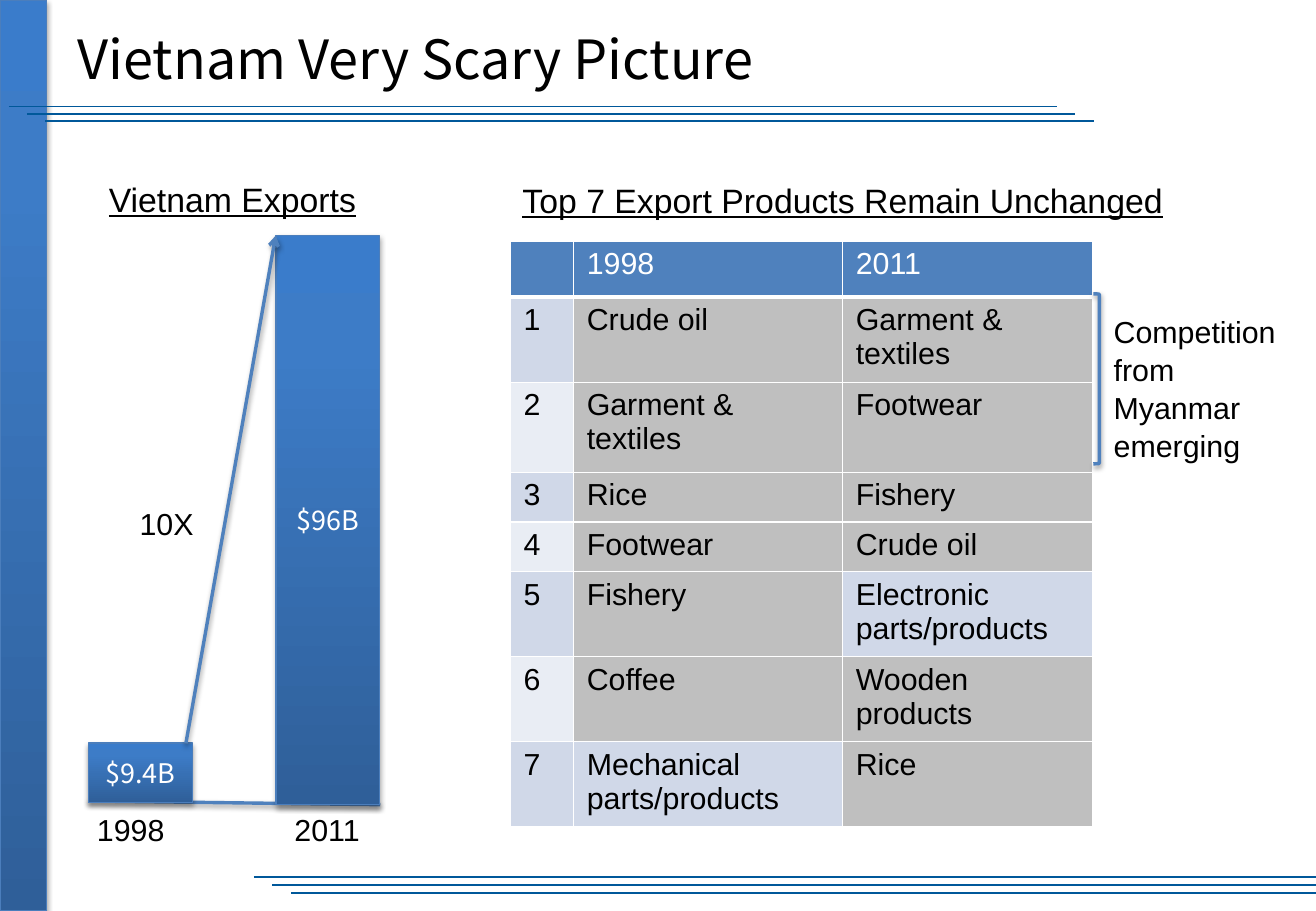
from copy import deepcopy

from pptx import Presentation
from pptx.dml.color import RGBColor
from pptx.enum.shapes import MSO_CONNECTOR, MSO_SHAPE
from pptx.enum.text import MSO_ANCHOR, PP_ALIGN
from pptx.oxml import parse_xml
from pptx.oxml.ns import nsdecls, qn
from pptx.util import Pt

BLACK, WHITE = "000000", "FFFFFF"
BLUE, RULE_BLUE, BAR_EDGE = "4F81BD", "00589A", "4B7EBC"
GREY, PALE, PALER = "BFBFBF", "D0D8E8", "E9EDF4"
BAR_STOPS = [(0, "2F5F99"), (0.8, "3D7CC7"), (1, "3A7CCB")]
HEADING_FONT, BODY_FONT = "Noto Sans CJK JP", "Arial"

PRODUCTS = [
    ("", "1998", "2011"),
    ("1", "Crude oil", "Garment & textiles"),
    ("2", "Garment & textiles", "Footwear"),
    ("3", "Rice", "Fishery"),
    ("4", "Footwear", "Crude oil"),
    ("5", "Fishery", "Electronic\nparts/products"),
    ("6", "Coffee", "Wooden products"),
    ("7", "Mechanical parts/products", "Rice"),
]
ROW_HEIGHTS = [33.2, 47.4, 53.4, 29.4, 29.4, 47.4, 47.4, 47.4]
COLUMN_WIDTHS = [37.4, 159.5, 148]


def rgb(color):
    """Return the colour for a hex string."""
    return RGBColor.from_string(color)


def points(*lengths):
    """Convert numbers to point lengths."""
    return [Pt(length) for length in lengths]


def format_text(frame, size, color=BLACK, font=BODY_FONT, underline=None):
    """Give every run in the frame the same look."""
    for paragraph in frame.paragraphs:
        for run in paragraph.runs:
            run.font.size = Pt(size)
            run.font.name = font
            run.font.color.rgb = rgb(color)
            run.font.underline = underline


def set_line(line, color, width):
    """Set the colour and width of a line."""
    line.color.rgb = rgb(color)
    line.width = Pt(width)


def set_effects(element, opacity=0, distance=0):
    """Replace the effects with a downward shadow, or with none."""
    properties = element.spPr
    for effects in properties.findall(qn("a:effectLst")):
        properties.remove(effects)
    shadow = ""
    if opacity:
        shadow = (
            f'<a:outerShdw blurRad="{Pt(3.1)}" dist="{Pt(distance)}" dir="5400000" '
            f'rotWithShape="0"><a:srgbClr val="000000">'
            f'<a:alpha val="{opacity * 1000}"/></a:srgbClr></a:outerShdw>'
        )
    properties.append(parse_xml(f'<a:effectLst {nsdecls("a")}>{shadow}</a:effectLst>'))


def add_bar(slide, left, top, width, height, label=""):
    """Add a shaded blue bar with a centred label."""
    bar = slide.shapes.add_shape(MSO_SHAPE.RECTANGLE, *points(left, top, width, height))
    bar.fill.gradient()
    bar.fill.gradient_angle = 90
    stop_list = bar.element.spPr.find(".//" + qn("a:gsLst"))
    stop_list.append(deepcopy(stop_list[-1]))
    for stop, (position, color) in zip(bar.fill.gradient_stops, BAR_STOPS):
        stop.position = position
        stop.color.rgb = rgb(color)
    set_line(bar.line, BAR_EDGE, 0.75)
    set_effects(bar.element, 35, 1.8)
    if label:
        frame = bar.text_frame
        frame.text = label
        frame.vertical_anchor = MSO_ANCHOR.MIDDLE
        frame.paragraphs[0].alignment = PP_ALIGN.CENTER
        format_text(frame, 16, WHITE, HEADING_FONT)


def add_line(slide, start, end, color, width, shadow=False, arrow=False):
    """Add a straight line, with a shadow or an arrowhead if wanted."""
    line = slide.shapes.add_connector(MSO_CONNECTOR.STRAIGHT, *points(*start, *end))
    set_line(line.line, color, width)
    if arrow:
        outline = line.element.spPr.find(qn("a:ln"))
        outline.append(parse_xml(f'<a:tailEnd {nsdecls("a")} type="arrow"/>'))
    set_effects(line.element, 38 if shadow else 0, 1.6)


def add_rules(slide, left, top, length, step_x, step_y):
    """Add three parallel rules, each stepped to the right."""
    for index in range(3):
        x, y = left + index * step_x, top + index * step_y
        add_line(slide, (x, y), (x + length, y), RULE_BLUE, 1)


def add_text(slide, box, text, size=18, font=BODY_FONT, underline=None,
             wrap=False, anchor=MSO_ANCHOR.TOP, spacing=None):
    """Add a text box."""
    frame = slide.shapes.add_textbox(*points(*box)).text_frame
    frame.text = text
    frame.word_wrap = wrap
    frame.vertical_anchor = anchor
    for paragraph in frame.paragraphs:
        paragraph.line_spacing = spacing
    format_text(frame, size, BLACK, font, underline)


def set_borders(cell, bottom):
    """Draw white borders around a cell."""
    properties = cell._tc.get_or_add_tcPr()
    for side, width in (("L", 1), ("R", 1), ("T", 1), ("B", bottom)):
        properties.append(parse_xml(
            f'<a:ln{side} {nsdecls("a")} w="{Pt(width)}"><a:solidFill>'
            f'<a:srgbClr val="{WHITE}"/></a:solidFill></a:ln{side}>'
        ))


def cell_color(row, column, text):
    """Choose a fill: grey marks products listed in both years."""
    if row == 0:
        return BLUE
    listed = [product for line in PRODUCTS[1:] for product in line[1:]]
    if column and listed.count(text) > 1 or text in ("Coffee", "Wooden products"):
        return GREY
    return PALE if row % 2 else PALER


def add_products(slide, left, top):
    """Add the table of leading export products."""
    box = points(left, top, sum(COLUMN_WIDTHS), sum(ROW_HEIGHTS))
    table = slide.shapes.add_table(len(PRODUCTS), len(COLUMN_WIDTHS), *box).table
    table.first_row = table.horz_banding = False
    for column, width in zip(table.columns, COLUMN_WIDTHS):
        column.width = Pt(width)
    for row, (height, texts) in enumerate(zip(ROW_HEIGHTS, PRODUCTS)):
        table.rows[row].height = Pt(height)
        for column, text in enumerate(texts):
            cell = table.cell(row, column)
            cell.text_frame.text = text
            cell.margin_left = cell.margin_right = Pt(7.8)
            cell.margin_top = cell.margin_bottom = Pt(3.6)
            format_text(cell.text_frame, 18, BLACK if row else WHITE)
            set_borders(cell, 1 if row else 3)
            cell.fill.solid()
            cell.fill.fore_color.rgb = rgb(cell_color(row, column, text))


def add_bracket(slide, left, top, width, height):
    """Add the bracket beside the threatened products."""
    bracket = slide.shapes.add_shape(
        MSO_SHAPE.RIGHT_BRACKET, *points(left, top, width, height))
    bracket.fill.background()
    set_line(bracket.line, BLUE, 2)
    set_effects(bracket.element, 38, 1.6)


def main():
    """Build the slide and save it."""
    deck = Presentation()
    deck.slide_width, deck.slide_height = points(780, 540)
    slide = deck.slides.add_slide(deck.slide_layouts[6])

    add_bar(slide, 0, 0, 27.6, 540)
    add_rules(slide, 5.2, 63.2, 621.4, 10.8, 4.3)
    add_rules(slide, 150.5, 519.8, 646.8, 11, 4.7)
    add_text(slide, (38.9, 7.9, 702, 53.3), "Vietnam Very Scary Picture", 32,
             HEADING_FONT, wrap=True, anchor=MSO_ANCHOR.MIDDLE)

    add_products(slide, 302.6, 143)

    add_line(slide, (52.6, 474.8), (225.4, 477), BLUE, 2, shadow=True)
    add_bar(slide, 52.6, 440.4, 61.4, 35.3, "$9.4B")
    add_bar(slide, 163.6, 139.7, 61.4, 337.2, "$96B")
    add_text(slide, (50.4, 477.4, 54.7, 28.8), "1998")
    add_text(slide, (167.4, 477.4, 53.6, 28.8), "2011")
    add_line(slide, (110.2, 440.6), (163.4, 139.7), BLUE, 2, shadow=True, arrow=True)
    add_text(slide, (75.6, 295.9, 51.1, 28.8), "10X")

    add_text(slide, (57.4, 102.4, 163.4, 31.7), "Vietnam Exports", 20, underline=True)
    add_text(slide, (302.6, 103, 397.4, 31.7),
             "Top 7 Export Products Remain Unchanged", 20, underline=True)
    add_bracket(slide, 648, 174.2, 3.6, 100.8)
    add_text(slide, (653, 180.7, 111.6, 94.3),
             "Competition\nfrom\nMyanmar\nemerging", spacing=1.05)

    deck.save("out.pptx")


if __name__ == "__main__":
    main()
